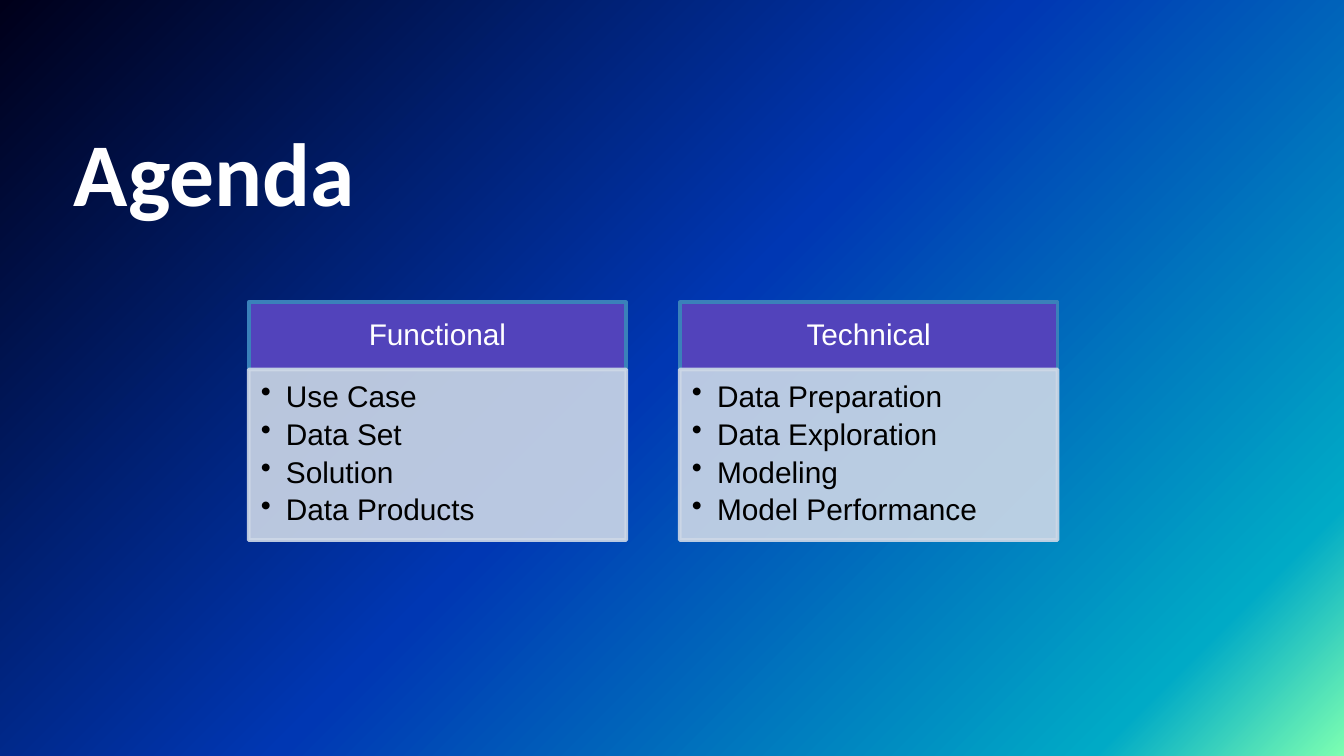
"""Build the agenda slide with two titled lists on a gradient background."""
from dataclasses import dataclass

from lxml import etree
from pptx import Presentation
from pptx.dml.color import RGBColor
from pptx.enum import shapes, text
from pptx.oxml import ns
from pptx.util import Pt

COLOURS = {
    "white": "FFFFFF",
    "black": "000000",
    "header": "5243BB",
    "header_line": "3A81BA",
    "panel": "CED8E7",
}
GRADIENT = {0: "7DFFB1", 12: "00AAC6", 51: "0037B3", 100: "00001A"}
GRADIENT_ANGLE = 225
LEFT, TOP, WIDTH, PITCH = 133.2, 162, 202.3, 231
HEADER_HEIGHT, PANEL_HEIGHT = 36, 91.4


@dataclass
class Section:
    heading: str
    items: list[str]


@dataclass
class Frame:
    left: float
    top: float
    width: float
    height: float


SECTIONS = [
    Section("Functional", ["Use Case", "Data Set", "Solution", "Data Products"]),
    Section("Technical", ["Data Preparation", "Data Exploration", "Modeling", "Model Performance"]),
]


def add_element(parent, tag: str, **attributes: str):
    return etree.SubElement(parent, ns.qn(tag), attributes)


def paint_background(page) -> None:
    fill = page.background.fill
    fill.gradient()
    fill.gradient_angle = 0
    gradient = page.background._cSld.find(".//" + ns.qn("a:gradFill"))
    stops = gradient.find(ns.qn("a:gsLst"))
    for stop in list(stops):
        stops.remove(stop)
    for position, colour in GRADIENT.items():
        stop = add_element(stops, "a:gs", pos=str(position * 1000))
        add_element(stop, "a:srgbClr", val=colour)
    gradient.find(ns.qn("a:lin")).set("ang", str(GRADIENT_ANGLE * 60000))


def write_lines(box, lines: list[str], size: float, font: str, colour: str,
                insets: tuple[float, float, float, float], anchor) -> None:
    frame = box.text_frame
    frame.word_wrap = True
    frame.vertical_anchor = anchor
    frame.margin_left, frame.margin_top, frame.margin_right, frame.margin_bottom = map(Pt, insets)
    frame.text = "\n".join(lines)
    for para in frame.paragraphs:
        para.alignment = text.PP_ALIGN.LEFT
        para.font.size = Pt(size)
        para.font.name = font
        para.font.color.rgb = RGBColor.from_string(COLOURS[colour])


def add_block(page, frame: Frame, fill: str, line: str, opacity: int = 100):
    box = page.shapes.add_shape(shapes.MSO_SHAPE.RECTANGLE, Pt(frame.left), Pt(frame.top),
                                Pt(frame.width), Pt(frame.height))
    box.shadow.inherit = False
    box.fill.solid()
    box.fill.fore_color.rgb = RGBColor.from_string(COLOURS[fill])
    box.line.color.rgb = RGBColor.from_string(COLOURS[line])
    box.line.width = Pt(2)
    if opacity < 100:
        for colour in box._element.spPr.iter(ns.qn("a:srgbClr")):
            add_element(colour, "a:alpha", val=str(opacity * 1000))
    return box


def add_bullet(para) -> None:
    properties = para._p.get_or_add_pPr()
    properties.set("marL", str(Pt(13.5)))
    properties.set("indent", str(-Pt(13.5)))
    bullet = etree.Element(ns.qn("a:buChar"), char="•")
    properties.find(ns.qn("a:defRPr")).addprevious(bullet)


def add_section(page, section: Section, left: float) -> None:
    header = add_block(page, Frame(left, TOP, WIDTH, HEADER_HEIGHT), "header", "header_line")
    write_lines(header, [section.heading], 16, "Arial", "white", (8.5, 5, 8.5, 5),
                text.MSO_ANCHOR.MIDDLE)
    header.text_frame.paragraphs[0].alignment = text.PP_ALIGN.CENTER
    header.text_frame.paragraphs[0].line_spacing = 0.9

    panel = add_block(page, Frame(left, TOP + HEADER_HEIGHT, WIDTH, PANEL_HEIGHT),
                      "panel", "panel", 90)
    write_lines(panel, section.items, 16, "Arial", "black", (6.5, 6.5, 8.5, 10),
                text.MSO_ANCHOR.TOP)
    for para in panel.text_frame.paragraphs:
        para.line_spacing = 0.9
        para.space_after = Pt(3)
        add_bullet(para)


def add_title(page) -> None:
    box = page.shapes.add_textbox(Pt(39.6), Pt(28.8), Pt(456.5), Pt(91.4))
    write_lines(box, ["Agenda"], 48, "Calibri", "white", (0, 0, 0, 0), text.MSO_ANCHOR.BOTTOM)
    box.text_frame.paragraphs[0].font.bold = True


def main() -> None:
    deck = Presentation()
    deck.slide_width, deck.slide_height = Pt(720), Pt(405)
    page = deck.slides.add_slide(deck.slide_layouts[6])
    paint_background(page)
    for index, section in enumerate(SECTIONS):
        add_section(page, section, LEFT + index * PITCH)
    add_title(page)
    deck.save("out.pptx")


if __name__ == "__main__":
    main()
